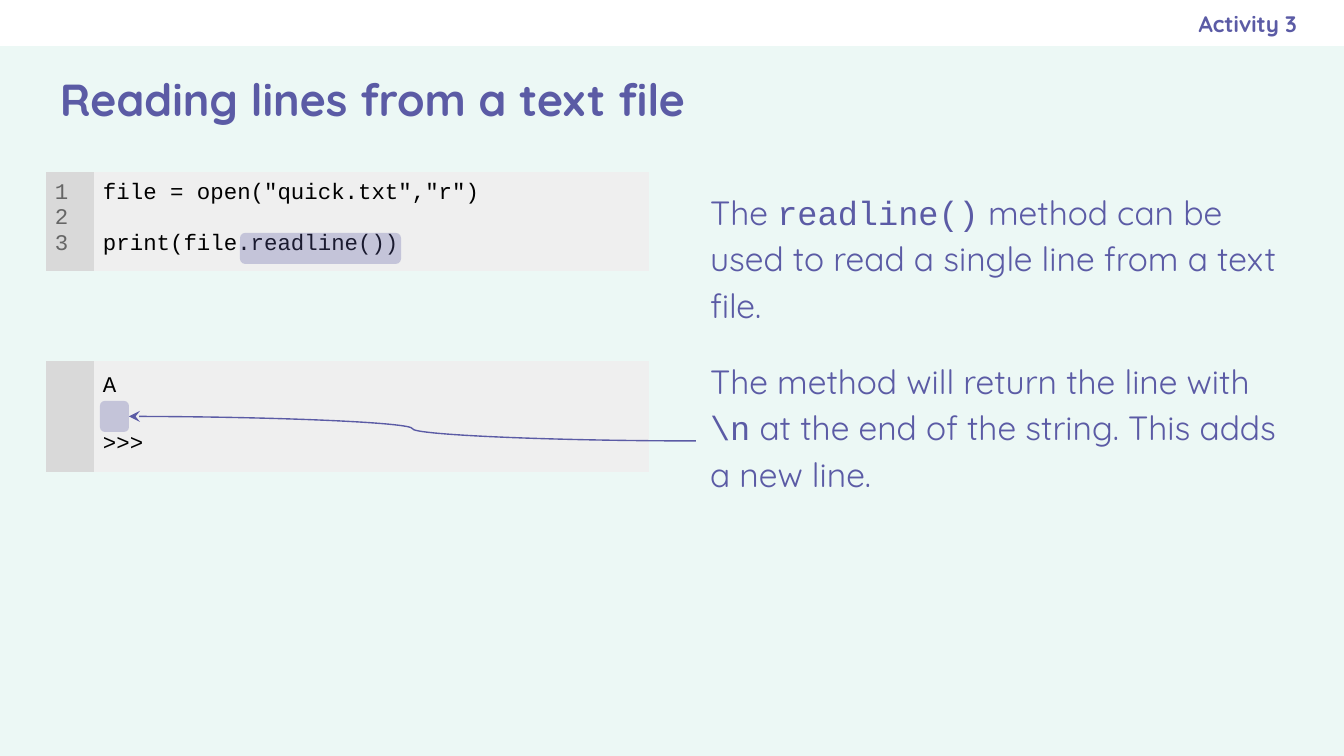
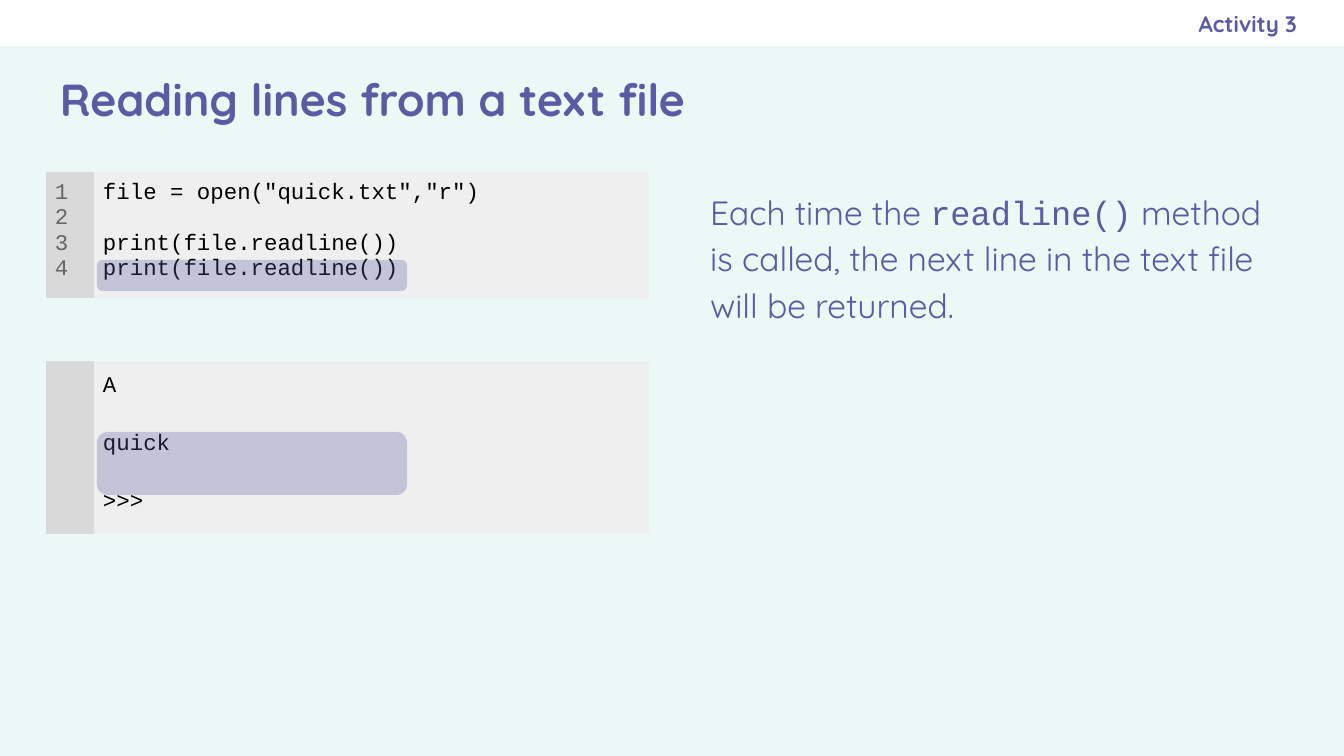
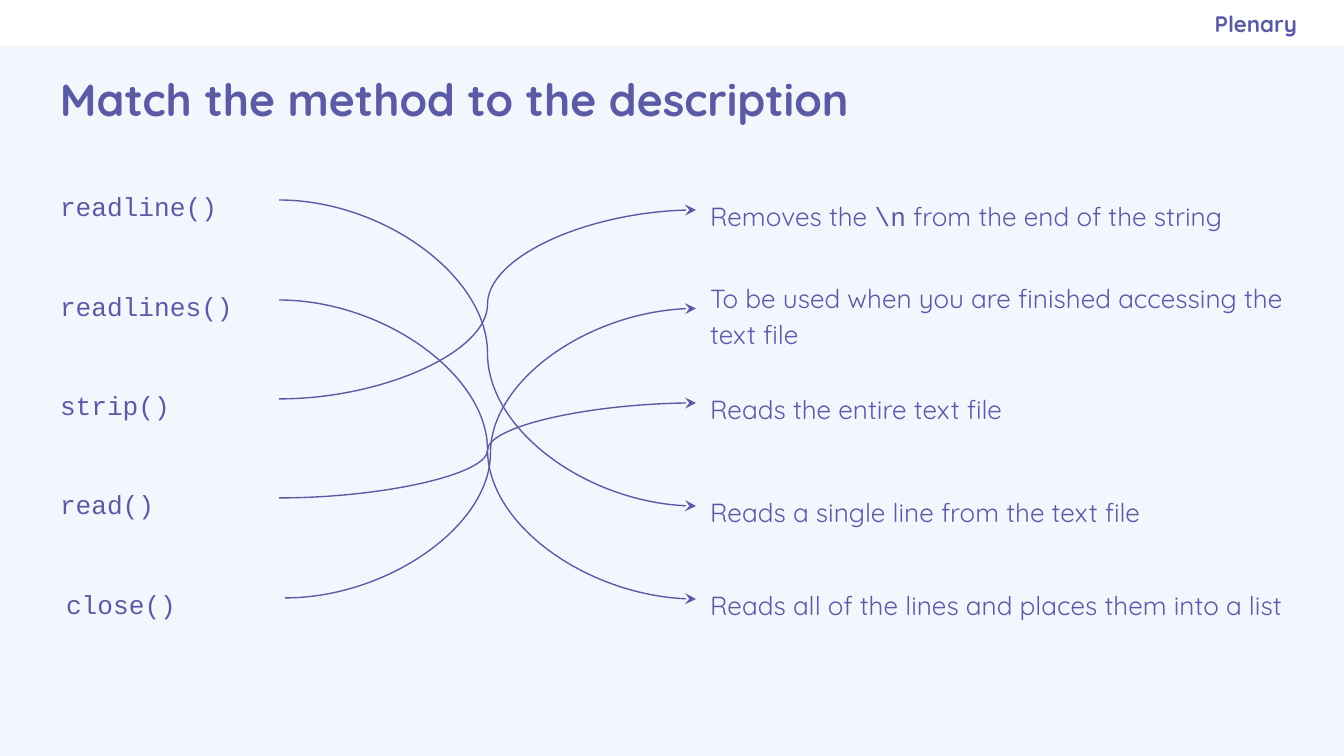
from lxml import etree
from pptx import Presentation
from pptx import util as u
from pptx.dml.color import RGBColor
from pptx.enum import shapes, text
from pptx.oxml.ns import qn

PX = 914400 / 134.4
COLORS = {"mint": "ECF8F5", "sky": "F3F6FC", "white": "FFFFFF", "violet": "5B5BA5",
          "gutter": "D9D9D9", "code": "EFEFEF", "number": "666666", "black": "000000"}
SANS, MONO = "Quicksand", "Courier New"
NO_GRID = "{2D5ABB26-0587-4C30-8999-92F81FD0307C}"
INSET, CELL_INSET = 13, 9

BAND = (0, 0, 1344, 46)
TAG = (773, 0, 524, 46)
TITLE = (46, 47, 1253, 102)
BODY = (696, 172, 602, 538)
PROGRAM, OUTPUT = (46, 172, 441, 441), (46, 361, 441, 441)
GUTTER_W, CODE_W = 48, 555
MATCH = (46, 172, 1252, 454)


def px(*lengths):
    return [u.Emu(round(n * PX)) for n in lengths]


def rgb(name):
    return RGBColor.from_string(COLORS[name])


def set_font(font, name=SANS, size=12, color="violet", bold=False):
    for key, value in {"name": name, "size": u.Pt(size), "bold": bold}.items():
        setattr(font, key, value)
    font.color.rgb = rgb(color)


def add_text(s, box, paragraphs, size, name=SANS, bold=False, spacing=1.15, right=INSET,
             anchor=text.MSO_ANCHOR.TOP, align=text.PP_ALIGN.LEFT):
    """Add a text box; words between backticks are set as code."""
    sp = s.shapes.add_textbox(*px(*box))
    tf = sp.text_frame
    margins = px(INSET + 1, INSET + 1, right, INSET)
    sides = ("margin_left", "margin_top", "margin_right", "margin_bottom")
    for key, value in {**dict(zip(sides, margins)), "word_wrap": True,
                       "vertical_anchor": anchor}.items():
        setattr(tf, key, value)
    for i, line in enumerate(paragraphs):
        p = tf.add_paragraph() if i else tf.paragraphs[0]
        p.alignment, p.line_spacing = align, spacing
        if i:
            p.space_before = u.Pt(16)
        for k, part in enumerate(line.split("`")):
            if part:
                r = p.add_run()
                r.text = part
                set_font(r.font, MONO if k % 2 else name, size, bold=bold)
    return sp


def add_block(s, kind, box, color, alpha=None):
    sp = s.shapes.add_shape(kind, *px(*box))
    sp.shadow.inherit = False
    sp.fill.solid()
    sp.fill.fore_color.rgb = rgb(color)
    sp.line.fill.background()
    if alpha:
        clr = sp.fill._xPr.find(".//" + qn("a:srgbClr"))
        etree.SubElement(clr, qn("a:alpha"), val=str(alpha * 1000))
    return sp


def add_arrow(s, start, end, start_site, end_site):
    """Join connection sites (1 is left, 3 is right) with a curved arrow."""
    line = s.shapes.add_connector(shapes.MSO_CONNECTOR.CURVE, 0, 0, 0, 0)
    line.begin_connect(start, start_site)
    line.end_connect(end, end_site)
    line.line.color.rgb = rgb("violet")
    line.line.width = u.Pt(0.75)
    etree.SubElement(line.line._get_or_add_ln(), qn("a:tailEnd"), type="stealth")
    etree.SubElement(line._element.spPr, qn("a:effectLst"))


def add_base(prs, title, tag, background):
    s = prs.slides.add_slide(prs.slide_layouts[6])
    s.background.fill.solid()
    s.background.fill.fore_color.rgb = rgb(background)
    add_block(s, shapes.MSO_SHAPE.RECTANGLE, BAND, "white")
    heading = {"bold": True, "spacing": 1.0, "anchor": text.MSO_ANCHOR.MIDDLE}
    add_text(s, TITLE, [title], 24, **heading)
    add_text(s, TAG, [tag], 12, right=0, align=text.PP_ALIGN.RIGHT, **heading)
    return s


def fill_cell(cell, lines, fill, color, spacing):
    cell.fill.solid()
    cell.fill.fore_color.rgb = rgb(fill)
    for side in ("left", "top", "right", "bottom"):
        setattr(cell, "margin_" + side, px(CELL_INSET)[0])
    tf = cell.text_frame
    for i, line in enumerate(lines):
        p = tf.add_paragraph() if i else tf.paragraphs[0]
        p.line_spacing = spacing
        if line:
            r = p.add_run()
            r.text = line
            set_font(r.font, MONO, color=color)
        else:
            end = etree.SubElement(p._p, qn("a:endParaRPr"), sz="1200")
            etree.SubElement(end, qn("a:latin"), typeface=MONO)


def add_code(s, box, lines, highlight, numbered=False):
    """Add a code panel and return its highlight, which is placed within the panel."""
    x, y, w, h = box
    spacing = 1.0 if numbered else 1.15
    frame = s.shapes.add_table(1, 2, *px(*box))
    tbl = frame.table
    tbl.first_row = tbl.horz_banding = False
    tbl._tbl.tblPr.find(qn("a:tableStyleId")).text = NO_GRID
    for col, width in zip(tbl.columns, px(GUTTER_W, CODE_W)):
        col.width = width
    tbl.rows[0].height = px(1)[0]  # the row grows to fit its lines
    frame.width, frame.height = px(w, h)
    numbers = [str(n) for n in range(1, len(lines) + 1)] if numbered else []
    fill_cell(tbl.cell(0, 0), numbers, "gutter", "number", spacing)
    fill_cell(tbl.cell(0, 1), lines, "code", "black", spacing)
    dx, dy, mark_w, mark_h = highlight
    return add_block(s, shapes.MSO_SHAPE.ROUNDED_RECTANGLE,
                     (x + dx, y + dy, mark_w, mark_h), "violet", alpha=29)


def add_reading_slide(prs, paragraphs, program, program_mark, output, output_mark):
    s = add_base(prs, "Reading lines from a text file", "Activity 3", "mint")
    body = add_text(s, BODY, paragraphs, 18)
    add_code(s, PROGRAM, program, program_mark, numbered=True)
    return s, body, add_code(s, OUTPUT, output, output_mark)


def add_matching(s, box, methods, descriptions):
    """Place methods at the left, descriptions at the right, and join the pairs."""
    x, y, w, h = box
    label_w, label_h, text_w = 233, 56, 602
    step = (h - label_h) / (len(methods) - 1)
    labels = [add_text(s, (x + dx, y + round(i * step), label_w, label_h), [name], 14, MONO)
              for i, (name, dx, _) in enumerate(methods)]
    answers = [add_text(s, (x + w - text_w, y + dy, text_w, height), [line], 14)
               for line, dy, height in descriptions]
    for label, (_, _, answer) in zip(labels, methods):
        add_arrow(s, label, answers[answer], 3, 1)


def main():
    prs = Presentation()
    prs.slide_width, prs.slide_height = px(1344, 756)
    opening = ['file = open("quick.txt","r")', ""]
    read = "print(file.readline())"

    s, body, newline = add_reading_slide(
        prs,
        ["The `readline()` method can be used to read a single line from a text file.",
         "The method will return the line with `\\n` at the end of the string. "
         "This adds a new line."],
        opening + [read], (194, 61, 161, 31),
        ["A", "", ">>>"], (54, 40, 29, 31))
    add_arrow(s, body, newline, 1, 3)

    add_reading_slide(
        prs,
        ["Each time the `readline()` method is called, the next line in the text file "
         "will be returned."],
        opening + [read, read], (51, 88, 310, 31),
        ["A", "", "quick", "", ">>>"], (51, 71, 310, 63))

    s = add_base(prs, "Match the method to the description", "Plenary", "sky")
    add_matching(
        s, MATCH,
        # name, indent, index of its description
        [("readline()", 0, 3), ("readlines()", 0, 4), ("strip()", 0, 0),
         ("read()", 0, 2), ("close()", 6, 1)],
        # wording, offset from the top, height
        [("Removes the `\\n` from the end of the string", 10, 56),
         ("To be used when you are finished accessing the text file", 92, 89),
         ("Reads the entire text file", 203, 56),
         ("Reads a single line from the text file", 306, 56),
         ("Reads all of the lines and places them into a list", 399, 56)])
    prs.save("out.pptx")


if __name__ == "__main__":
    main()
